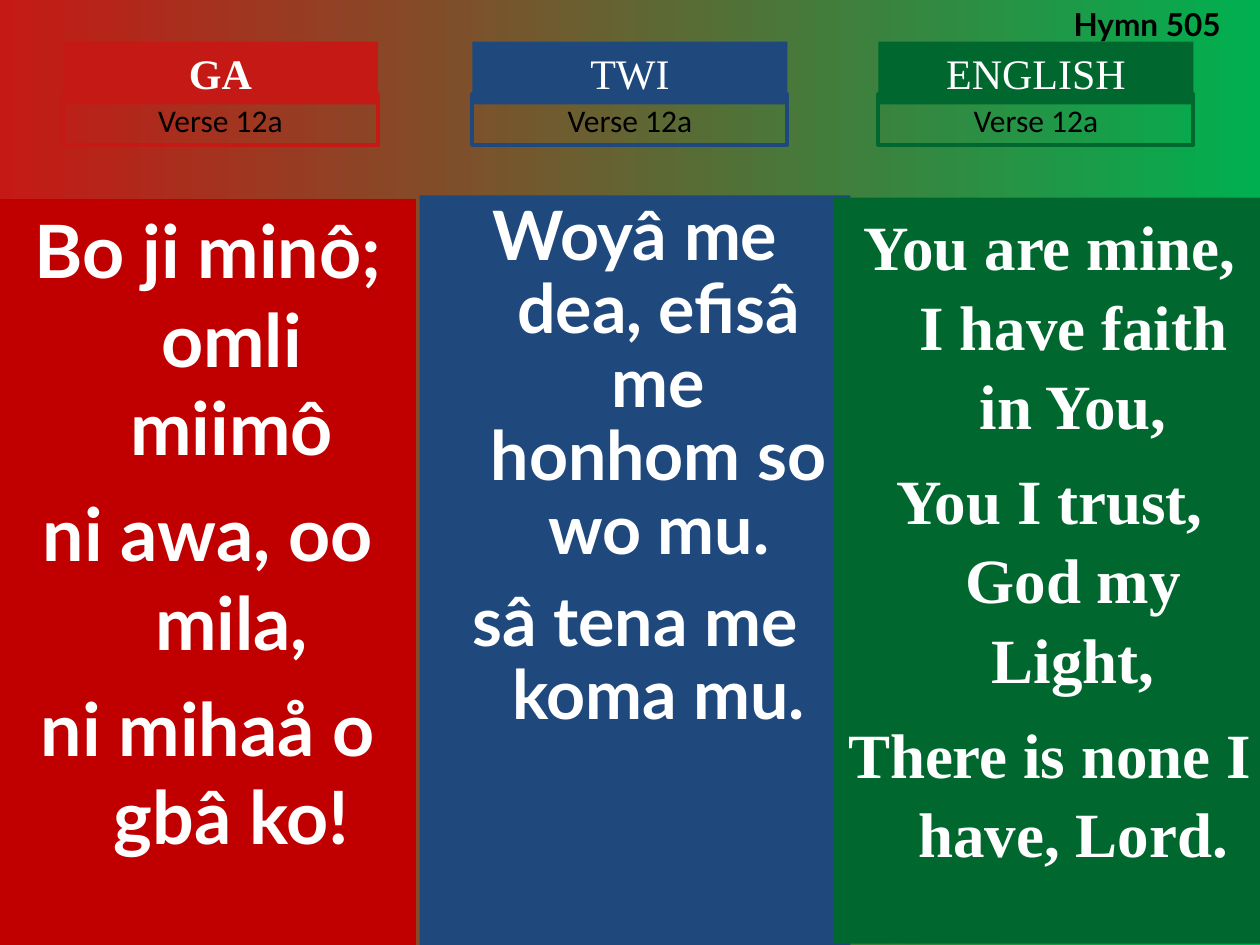
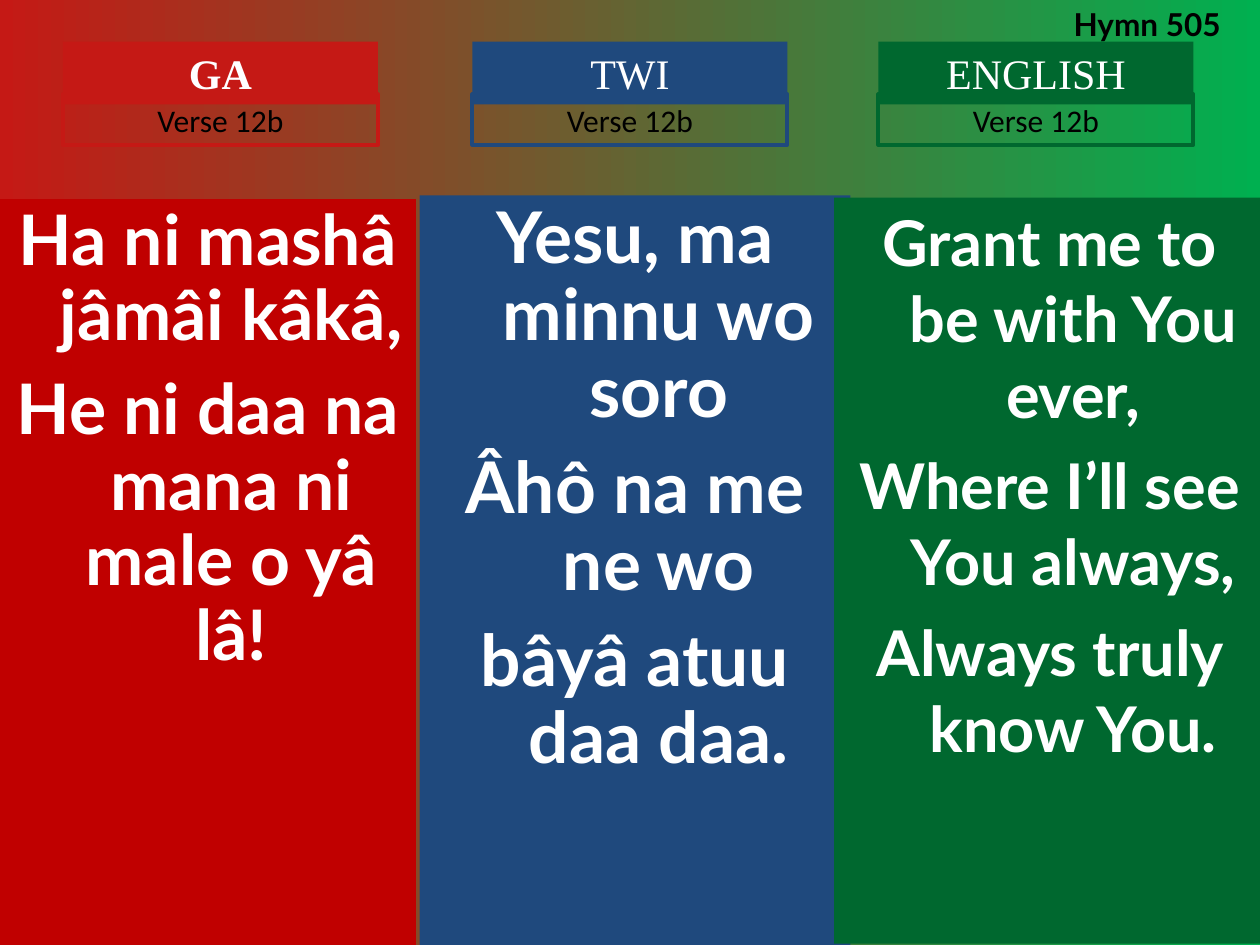
from pptx import Presentation, util as u
from pptx.dml.color import RGBColor
from pptx.enum import shapes, text
from pptx.oxml.ns import qn
from lxml import etree

COLORS = {
    "ga": "C51915", "ga_panel": "C00000", "twi": "1F497D", "english": "00682F",
    "gradient_end": "00B050", "white": "FFFFFF", "black": "000000",
}
SERIF, SANS, LABEL = "Times New Roman", "Lato", "Calibri"
TWO_CONTENT = 3
HANGING = 27

# Columns: name, colour, panel colour, label left, label bold, panel box
COLUMNS = [
    ("GA", "ga", "ga_panel", 36, True, (0, 113.75, 237.6, 426.25)),
    ("TWI", "twi", "twi", 270, False, (239.75, 111.6, 246.25, 428.4)),
    ("ENGLISH", "english", "english", 502, False, (476.65, 113, 246.25, 426.25)),
]

# Verses: for each column the lines, font, size, line spacing and space before
VERSES = [
    ("Verse 12a", [
        (["Bo ji minô; omli miimô", "ni awa, oo mila,", "ni mihaå o gbâ ko!"],
         SANS, 42, 1.0, 10.5),
        (["Woyâ me dea, efisâ me honhom so wo mu.", "sâ tena me koma mu."],
         SANS, 38.9, 0.9, 10.5),
        (["You are mine, I have faith in You,", "You I trust, God my Light,",
          "There is none I have, Lord."], SERIF, 36, 1.05, 9),
    ]),
    ("Verse 12b", [
        (["Ha ni mashâ jâmâi kâkâ,", "He ni daa na mana ni male o yâ lâ!"],
         SANS, 39.8, 0.9, 10.7),
        (["Yesu, ma minnu wo soro", "Âhô na me ne wo", "bâyâ atuu daa daa."],
         SANS, 40.7, 0.9, 11),
        (["Grant me to be with You ever,", "Where I’ll see You always,",
          "Always truly know You."], SANS, 36, 1.0, 9),
    ]),
]


def rgb(name):
    return RGBColor.from_string(COLORS[name])


class HymnDeck:
    """Holds the presentation, its style and the current slide."""

    def __init__(self):
        self.presentation = Presentation()
        self.presentation.slide_width = u.Pt(720)
        self.presentation.slide_height = u.Pt(540)
        self.slide = None

    def add_slide(self):
        layout = self.presentation.slide_layouts[TWO_CONTENT]
        self.slide = self.presentation.slides.add_slide(layout)
        fill = self.slide.background.fill
        fill.gradient()
        fill.gradient_angle = 0
        for stop, name in zip(fill.gradient_stops, ("ga", "gradient_end")):
            stop.color.rgb = rgb(name)

    def place(self, shape, box):
        shape.left, shape.top, shape.width, shape.height = map(u.Pt, box)

    def rectangle(self, box, fill=None, line=None):
        shape = self.slide.shapes.add_shape(
            shapes.MSO_SHAPE.RECTANGLE, *map(u.Pt, box))
        shape.shadow.inherit = False
        if fill:
            shape.fill.solid()
            shape.fill.fore_color.rgb = rgb(fill)
        else:
            shape.fill.background()
        if line:
            shape.line.color.rgb = rgb(line)
            shape.line.width = u.Pt(2.25)
        else:
            shape.line.fill.background()
        return shape

    def set_text(self, shape, content, font, size, color, bold=False,
                 align=text.PP_ALIGN.CENTER,
                 fit=text.MSO_AUTO_SIZE.SHAPE_TO_FIT_TEXT):
        frame = shape.text_frame
        frame.text = content
        frame.word_wrap = True
        frame.auto_size = fit
        frame.vertical_anchor = text.MSO_ANCHOR.TOP
        for paragraph in frame.paragraphs:
            paragraph.alignment = align
            for run in paragraph.runs:
                run.font.name = font
                run.font.size = u.Pt(size)
                run.font.bold = bold
                run.font.color.rgb = rgb(color)

    def title(self, content):
        shape = self.slide.shapes.title
        self.place(shape, (606.25, -0.7, 108, 28.8))
        self.set_text(shape, content, SANS, 18, "black", True, text.PP_ALIGN.LEFT)

    def label(self, name, verse, color, left, bold):
        header = self.rectangle((left, 23.75, 180, 36), fill=color)
        self.set_text(header, name, SERIF, 24, "white", bold)
        frame = self.rectangle((left, 54, 180, 28.8), line=color)
        self.set_text(frame, verse, LABEL, 18, "black")

    def panel(self, shape, lines, font, size, spacing, before):
        self.set_text(shape, "\n".join(lines), font, size, "white", True,
                      fit=text.MSO_AUTO_SIZE.NONE)
        for index, paragraph in enumerate(shape.text_frame.paragraphs):
            properties = paragraph._p.get_or_add_pPr()
            properties.set("marL", str(u.Pt(HANGING)))
            properties.set("indent", str(-u.Pt(HANGING)))
            etree.SubElement(properties, qn("a:buNone"))
            paragraph.line_spacing = spacing
            paragraph.space_before = u.Pt(before if index else 0)

    def body_panel(self, index, box, fill):
        shape = self.slide.placeholders[index]
        self.place(shape, box)
        shape.fill.solid()
        shape.fill.fore_color.rgb = rgb(fill)
        return shape


def main():
    deck = HymnDeck()
    for verse, panels in VERSES:
        deck.add_slide()
        deck.title("Hymn 505")
        # Verse panels: two body placeholders and one rectangle
        for index, (column, content) in enumerate(zip(COLUMNS, panels), start=1):
            fill, box = column[2], column[5]
            if index < 3:
                shape = deck.body_panel(index, box, fill)
            else:
                shape = deck.rectangle(box, fill)
            deck.panel(shape, *content)
        # Language and verse labels
        for name, color, _, left, bold, _ in COLUMNS:
            deck.label(name, verse, color, left, bold)
    deck.presentation.save("out.pptx")


if __name__ == "__main__":
    main()
